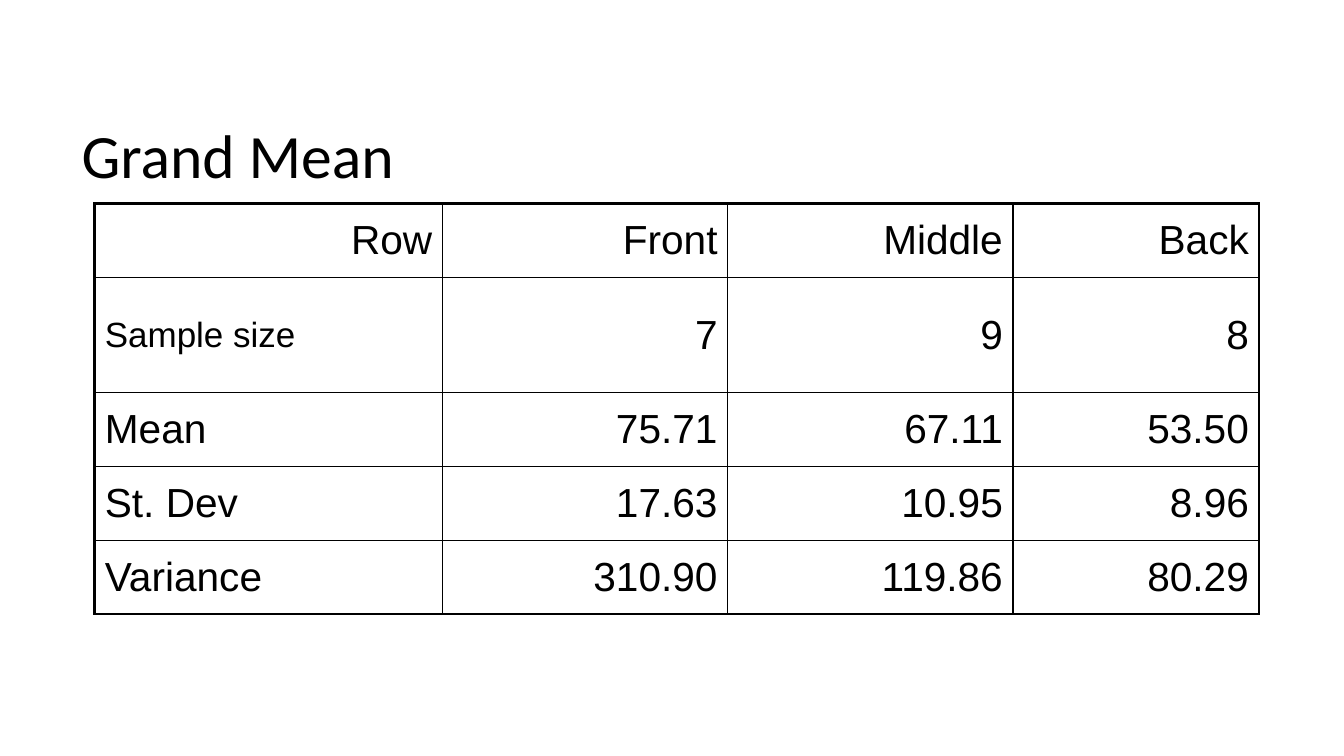
from pptx import Presentation
from pptx.dml.color import RGBColor
from pptx.enum.text import MSO_ANCHOR, PP_ALIGN
from pptx.oxml import parse_xml
from pptx.oxml.ns import nsdecls
from pptx.util import Cm, Pt

LEFT, RIGHT = PP_ALIGN.LEFT, PP_ALIGN.RIGHT
MIDDLE = MSO_ANCHOR.MIDDLE

# Content
HEADING = "Grand Mean"
STATISTICS = [
    ("Row", "Front", "Middle", "Back"),
    ("Sample size", "7", "9", "8"),
    ("Mean", "75.71", "67.11", "53.50"),
    ("St. Dev", "17.63", "10.95", "8.96"),
    ("Variance", "310.90", "119.86", "80.29"),
]

# Look
COLORS = {"ink": "000000", "paper": "FFFFFF"}
COLUMN_WIDTHS = [8.76, 7.19, 7.19, 6.2]
ROW_HEIGHTS = [1.86, 2.9, 1.86, 1.86, 1.86]
INNER_LINE, OUTER_LINE = Pt(1), Pt(2.25)
LAST_ROW, LAST_COLUMN = len(STATISTICS) - 1, len(COLUMN_WIDTHS) - 1


def format_text(paragraph, font_name, size, alignment):
    paragraph.alignment = alignment
    for run in paragraph.runs:
        run.font.name = font_name
        run.font.size = Pt(size)
        run.font.bold = False
        run.font.color.rgb = RGBColor.from_string(COLORS["ink"])


def set_borders(cell, row, column):
    """Draw thick lines on the table's outer edge and thin ones inside."""
    on_edge = {
        "lnL": column == 0,
        "lnR": column == LAST_COLUMN,
        "lnT": row == 0,
        "lnB": row == LAST_ROW,
    }
    properties = cell._tc.get_or_add_tcPr()
    for position, (side, outer) in enumerate(on_edge.items()):
        width = OUTER_LINE if outer else INNER_LINE
        properties.insert(position, parse_xml(
            f'<a:{side} {nsdecls("a")} w="{int(width)}"><a:solidFill>'
            f'<a:srgbClr val="{COLORS["ink"]}"/></a:solidFill></a:{side}>'))


def add_space_before(paragraph, percent):
    paragraph._p.get_or_add_pPr().insert(0, parse_xml(
        f'<a:spcBef {nsdecls("a")}><a:spcPct val="{percent * 1000}"/></a:spcBef>'))


presentation = Presentation()
presentation.slide_width, presentation.slide_height = Cm(33.87), Cm(19.05)
slide = presentation.slides.add_slide(presentation.slide_layouts[5])

# Title
title = slide.shapes.title
title.left, title.top, title.width, title.height = Cm(1.8), Cm(1.75), Cm(9.73), Cm(4.5)
title.text_frame.text = HEADING
title.text_frame.vertical_anchor = MIDDLE
title.text_frame.paragraphs[0].line_spacing = 0.9
format_text(title.text_frame.paragraphs[0], "Calibri", 44, LEFT)

# Table
table = slide.shapes.add_table(
    len(ROW_HEIGHTS), len(COLUMN_WIDTHS), Cm(2.39), Cm(5.13),
    Cm(sum(COLUMN_WIDTHS)), Cm(sum(ROW_HEIGHTS))).table
for table_column, width in zip(table.columns, COLUMN_WIDTHS):
    table_column.width = Cm(width)
for table_row, height in zip(table.rows, ROW_HEIGHTS):
    table_row.height = Cm(height)

for row, entries in enumerate(STATISTICS):
    for column, entry in enumerate(entries):
        cell = table.cell(row, column)
        cell.text_frame.text = entry
        cell.vertical_anchor = MIDDLE
        cell.fill.solid()
        cell.fill.fore_color.rgb = RGBColor.from_string(COLORS["paper"])
        set_borders(cell, row, column)
        is_label = column == 0 and row > 0
        paragraph = cell.text_frame.paragraphs[0]
        format_text(paragraph, "Arial", 25 if entry == "Sample size" else 29,
                    LEFT if is_label else RIGHT)
        add_space_before(paragraph, 20)

presentation.save("out.pptx")
